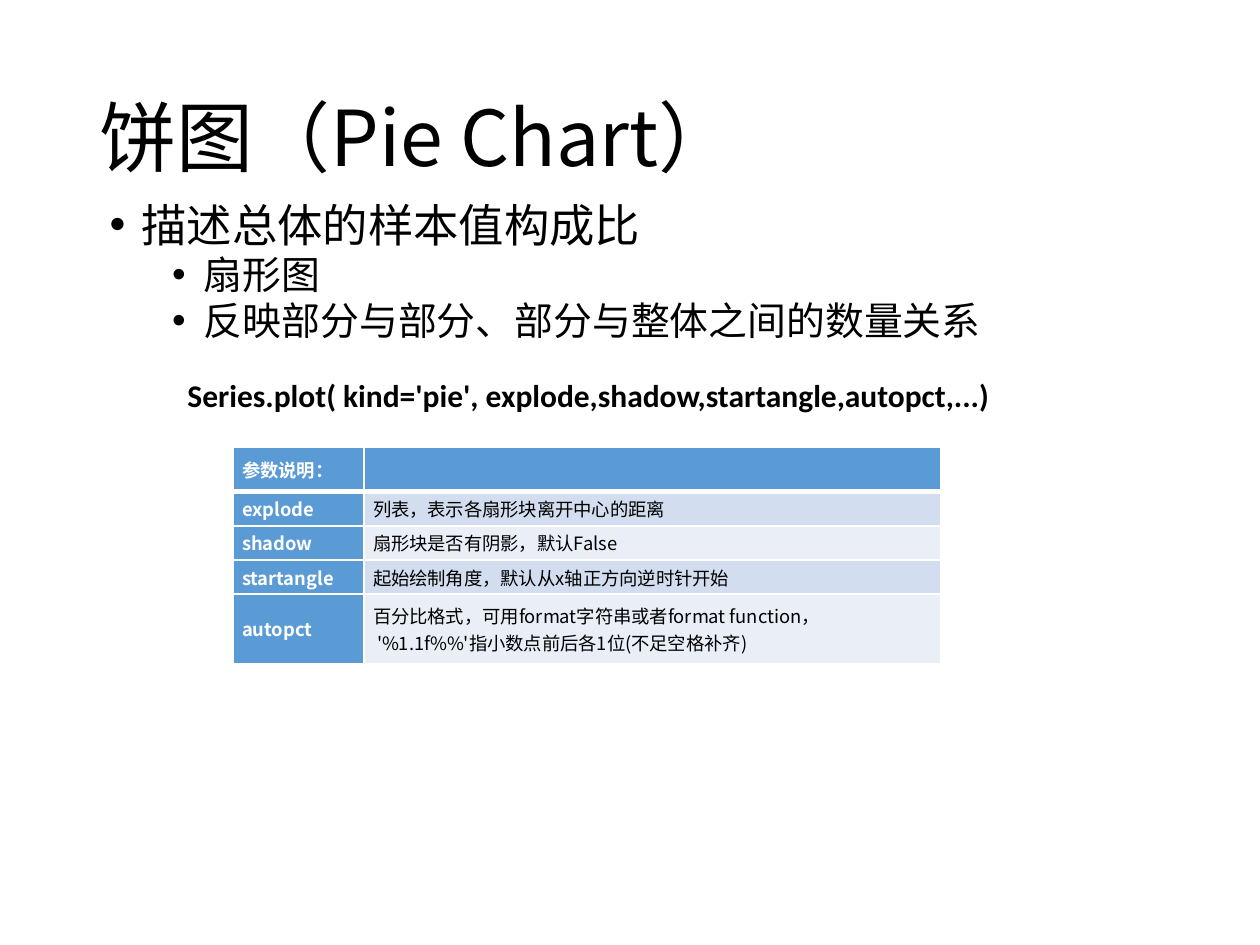
from lxml import etree
from pptx import Presentation
from pptx.dml.color import RGBColor
from pptx.enum.text import MSO_ANCHOR, PP_ALIGN
from pptx.oxml.ns import qn
from pptx.util import Cm, Pt

MIDDLE, TOP = MSO_ANCHOR.MIDDLE, MSO_ANCHOR.TOP
JUSTIFY = PP_ALIGN.JUSTIFY
BLACK = RGBColor(0x00, 0x00, 0x00)
WHITE = RGBColor(0xFF, 0xFF, 0xFF)
BLUE = RGBColor(0x5B, 0x9B, 0xD5)
BAND_DARK = RGBColor(0xD2, 0xDE, 0xEF)
BAND_LIGHT = RGBColor(0xEA, 0xEF, 0xF7)
CJK = "Noto Sans CJK SC"

BULLETS = [
    ("描述总体的样本值构成比", 25.9, 0.64, 10),
    ("扇形图", 22.2, 1.9, 5),
    ("反映部分与部分、部分与整体之间的数量关系", 22.2, 1.9, 5),
]
PARAMETERS = [
    ("参数说明：", ""),
    ("explode", "列表，表示各扇形块离开中心的距离"),
    ("shadow", "扇形块是否有阴影，默认False"),
    ("startangle", "起始绘制角度，默认从x轴正方向逆时针开始"),
    ("autopct", "百分比格式，可用format字符串或者format function，\n"
                " '%1.1f%%'指小数点前后各1位(不足空格补齐)"),
]


def apply(target, formats):
    for name, value in formats.items():
        setattr(target, name, value)


def write(paragraph, text, size, color=BLACK, bold=False, face=CJK):
    run = paragraph.add_run()
    run.text = text
    apply(run.font, {"size": Pt(size), "bold": bold, "name": face})
    run.font.color.rgb = color
    etree.SubElement(run.font._element, qn("a:ea"), typeface=CJK)


def indent(paragraph, left, first, bullet=None):
    properties = paragraph._p.get_or_add_pPr()
    properties.set("marL", str(Cm(left)))
    properties.set("indent", str(Cm(first)))
    if bullet:
        etree.SubElement(properties, qn("a:buFont"), typeface="Arial")
        etree.SubElement(properties, qn("a:buChar"), char=bullet)


def add_frame(slide, box, anchor=TOP):
    frame = slide.shapes.add_textbox(*map(Cm, box)).text_frame
    apply(frame, {"word_wrap": True, "vertical_anchor": anchor})
    return frame


def add_title(slide, box):
    heading = add_frame(slide, box, MIDDLE).paragraphs[0]
    heading.line_spacing = 0.9
    write(heading, "饼图（Pie Chart）", 44)


def add_bullets(slide, box):
    frame = add_frame(slide, box)
    for index, (text, size, left, before) in enumerate(BULLETS):
        point = frame.add_paragraph() if index else frame.paragraphs[0]
        apply(point, {"line_spacing": 0.8, "space_before": Pt(before),
                      "level": min(index, 1)})
        indent(point, left, -0.64, "•")
        write(point, text, size)


def add_signature(slide, box):
    signature = add_frame(slide, box).paragraphs[0]
    apply(signature, {"line_spacing": 1.25, "space_before": Pt(6), "space_after": Pt(6)})
    indent(signature, 0, 1.57)
    write(signature, "Series.plot( kind='pie', explode,shadow,startangle,autopct,...)",
          18, bold=True, face="Calibri")


def add_borders(cell, widths):
    properties = cell._tc.get_or_add_tcPr()
    for index, (side, width) in enumerate(widths.items()):
        line = etree.Element(qn(f"a:ln{side}"), w=str(Pt(width)))
        fill = etree.SubElement(line, qn("a:solidFill"))
        etree.SubElement(fill, qn("a:srgbClr"), val=str(WHITE))
        properties.insert(index, line)


def add_parameters(slide, box):
    grid = slide.shapes.add_table(len(PARAMETERS), 2, *map(Cm, box)).table
    for column, width in zip(grid.columns, (2.64, 11.63)):
        column.width = Cm(width)
    for row, height in zip(grid.rows, (0.89, 0.69, 0.69, 0.69, 1.4)):
        row.height = Cm(height)
    for r, texts in enumerate(PARAMETERS):
        for c, text in enumerate(texts):
            cell = grid.cell(r, c)
            header = r == 0 or c == 0
            apply(cell, {"vertical_anchor": MIDDLE, "margin_left": Cm(0.18),
                         "margin_right": Cm(0.18), "margin_top": 0, "margin_bottom": 0})
            cell.fill.solid()
            cell.fill.fore_color.rgb = BLUE if header else (BAND_LIGHT, BAND_DARK)[r % 2]
            add_borders(cell, {"L": 1, "R": 1, "T": 3 if r == 1 else 1,
                               "B": 3 if r == 0 else 1})
            frame = cell.text_frame
            for index, line in enumerate(text.split("\n")):
                paragraph = frame.add_paragraph() if index else frame.paragraphs[0]
                paragraph.alignment = JUSTIFY
                write(paragraph, line, 10.5, WHITE if header else BLACK, header)


def main():
    deck = Presentation()
    apply(deck, {"slide_width": Cm(25.4), "slide_height": Cm(19.05)})
    slide = deck.slides.add_slide(deck.slide_layouts[6])
    add_title(slide, (1.75, 1.02, 21.89, 3.68))
    add_bullets(slide, (1.96, 4.06, 21.18, 3.02))
    add_signature(slide, (1.96, 7.26, 19.76, 1.14))
    add_parameters(slide, (4.7, 9.02, 14.27, 4.36))
    deck.save("out.pptx")


if __name__ == "__main__":
    main()
